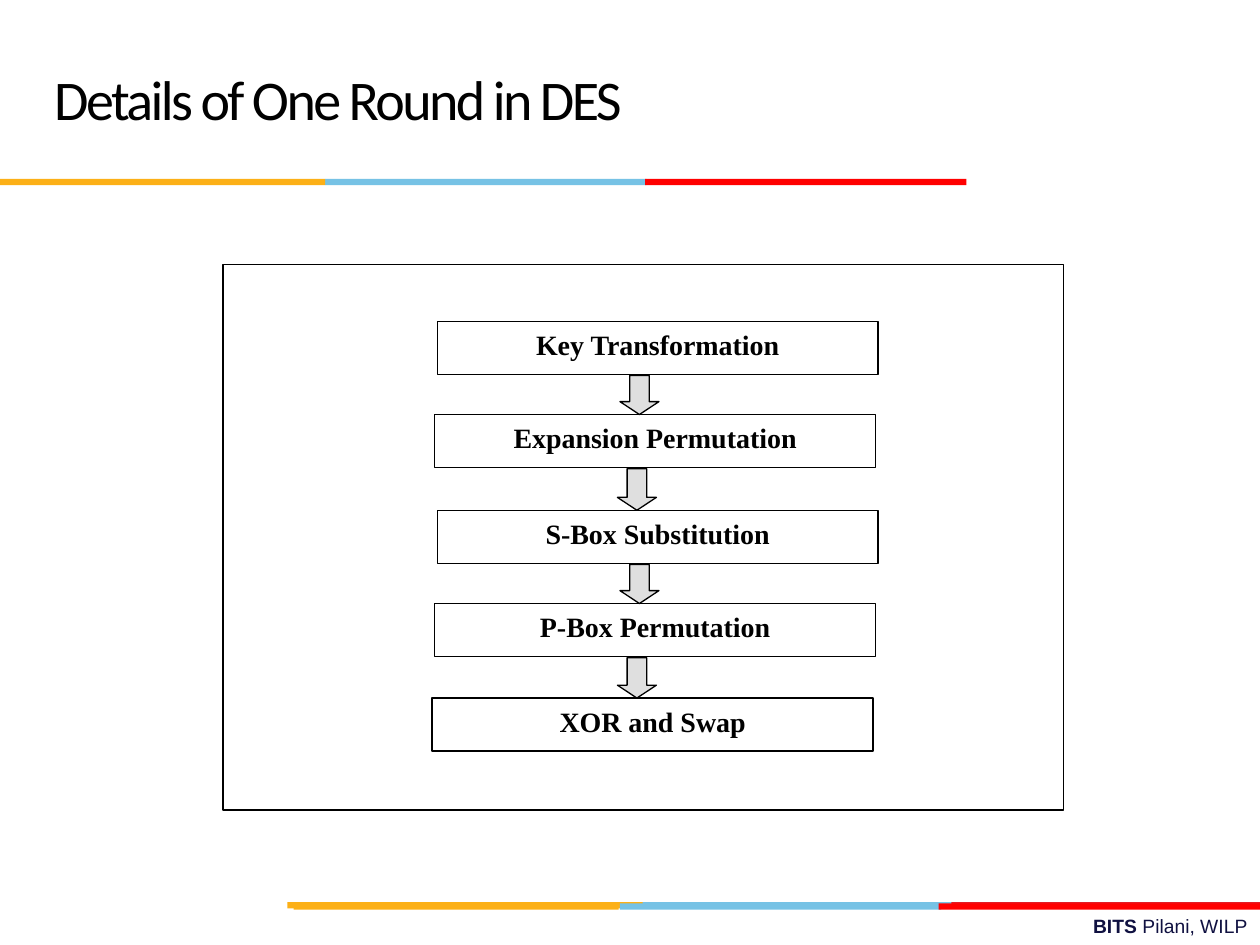
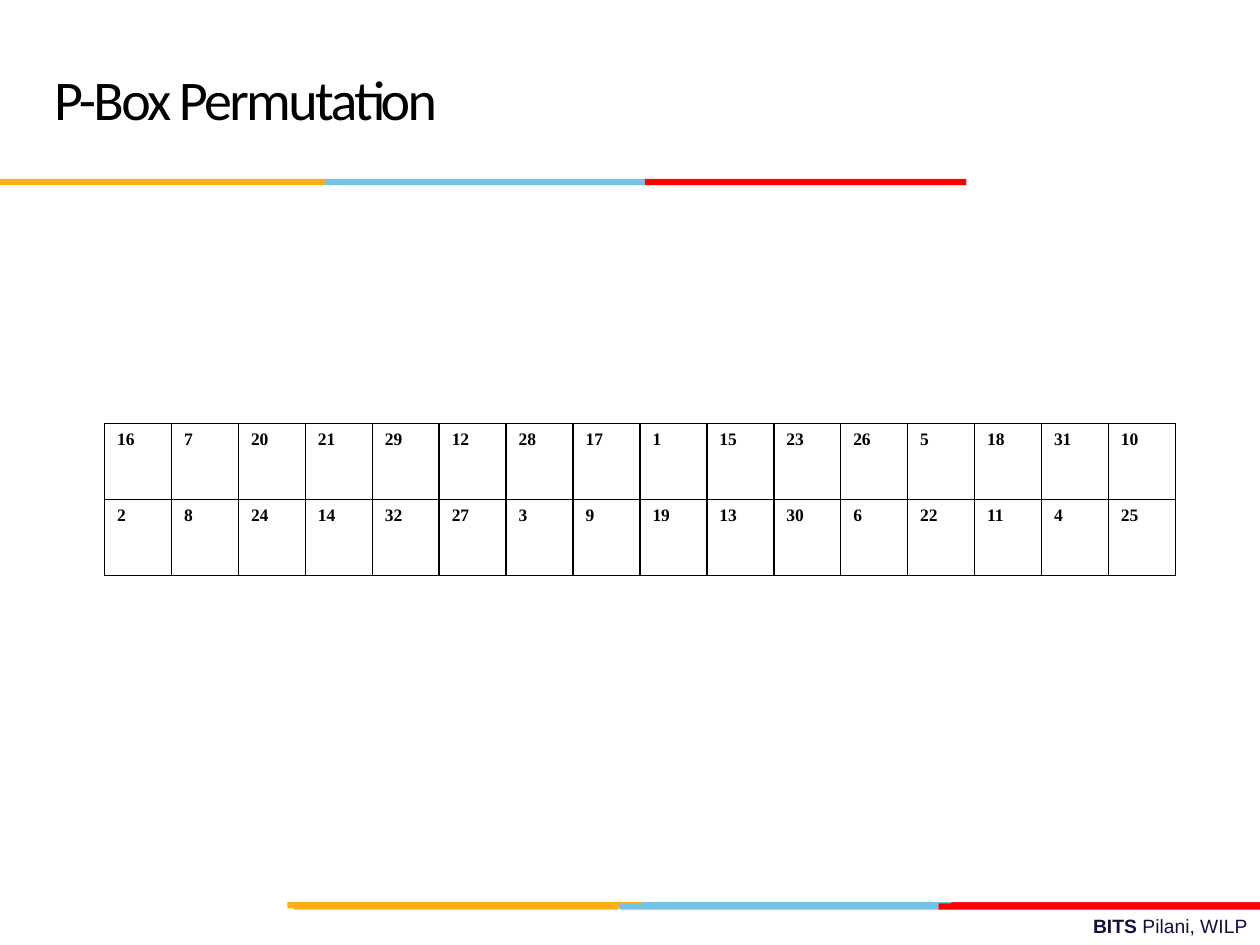
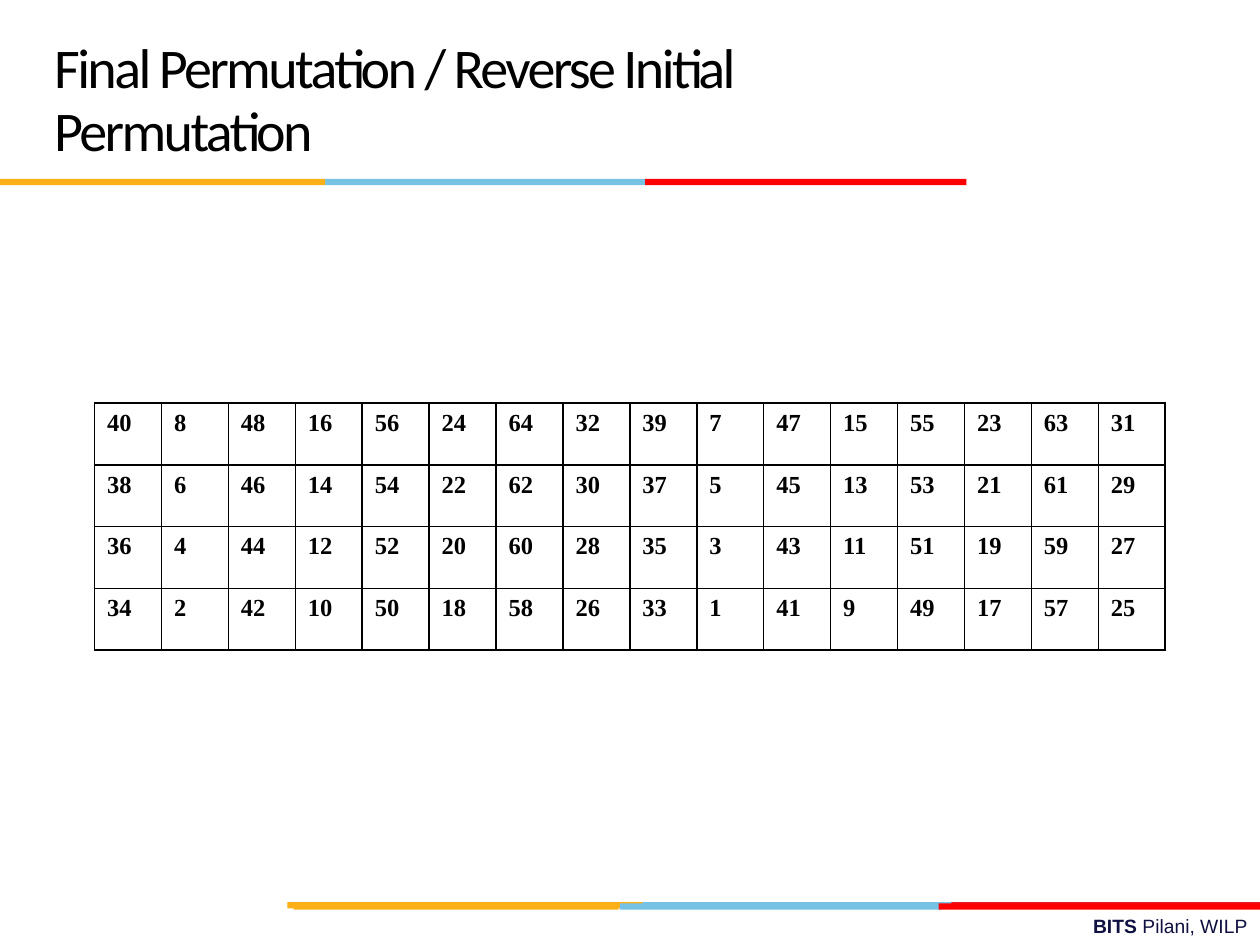
"""Build three slides on the DES cipher: one round, the P-box and the final permutation."""
import pptx
import pptx.dml.color
import pptx.enum.shapes
import pptx.enum.text
import pptx.oxml
import pptx.oxml.ns
import pptx.util

Inches, Pt = pptx.util.Inches, pptx.util.Pt
Align = pptx.enum.text.PP_ALIGN
Anchor = pptx.enum.text.MSO_ANCHOR
Fit = pptx.enum.text.MSO_AUTO_SIZE
Kind = pptx.enum.shapes.MSO_SHAPE

THEME = {
    "gold": "FCB017", "sky": "76C2E5", "red": "FF0000", "brick": "E31C24",
    "navy": "101141", "black": "000000", "white": "FFFFFF", "gray": "C0C0C0",
    "head": {"name": "Calibri", "size": Pt(32), "bold": False},
    "foot": {"name": "Arial", "size": Pt(11)},
    "step": {"name": "Times New Roman", "size": Pt(16), "bold": True},
    "small": {"name": "Times New Roman", "size": Pt(10), "bold": True},
    "large": {"name": "Times New Roman", "size": Pt(14), "bold": True},
}

BANDS = [
    (7.16, [(5.06, 2.55, "sky"), (7.55, 2.45, "brick"), (2.28, 2.82, "gold")]),
    (7.17, [(4.92, 2.55, "sky"), (2.33, 2.58, "gold"), (7.45, 2.55, "red")]),
    (1.42, [(2.58, 2.55, "sky"), (0, 2.58, "gold"), (5.12, 2.55, "red")]),
]
FOOTER = [("BITS ", True), ("Pilani, WILP", False)]

ROUND = "Details of One Round in DES"
STEPS = [
    ("Key Transformation", 3.47, 2.55),
    ("Expansion Permutation", 3.45, 3.29),
    ("S-Box Substitution", 3.47, 4.05),
    ("P-Box Permutation", 3.45, 4.79),
    ("XOR and Swap", 3.43, 5.54),
]

GRIDS = [
    {
        "title": "P-Box Permutation",
        "at": (0.83, 3.36), "row": 0.605, "font": "small",
        "rows": [
            (16, 7, 20, 21, 29, 12, 28, 17, 1, 15, 23, 26, 5, 18, 31, 10),
            (2, 8, 24, 14, 32, 27, 3, 9, 19, 13, 30, 6, 22, 11, 4, 25),
        ],
    },
    {
        "title": "Final Permutation / Reverse Initial Permutation",
        "at": (0.75, 3.2), "row": 0.49, "font": "large",
        "rows": [
            (40, 8, 48, 16, 56, 24, 64, 32, 39, 7, 47, 15, 55, 23, 63, 31),
            (38, 6, 46, 14, 54, 22, 62, 30, 37, 5, 45, 13, 53, 21, 61, 29),
            (36, 4, 44, 12, 52, 20, 60, 28, 35, 3, 43, 11, 51, 19, 59, 27),
            (34, 2, 42, 10, 50, 18, 58, 26, 33, 1, 41, 9, 49, 17, 57, 25),
        ],
    },
]


def color(name):
    return pptx.dml.color.RGBColor.from_string(THEME[name])


def style(font, look, ink="black"):
    for key, value in THEME[look].items():
        setattr(font, key, value)
    font.color.rgb = color(ink)


def block(slide, kind, box, fill, line=None):
    shape = slide.shapes.add_shape(kind, *map(Inches, box))
    shape.shadow.inherit = False
    shape.fill.solid()
    shape.fill.fore_color.rgb = color(fill)
    if line:
        shape.line.color.rgb = color(line)
        shape.line.width = Pt(0.75)
    else:
        shape.line.fill.background()
    return shape


def add_slide(deck, text):
    slide = deck.slides.add_slide(deck.slide_layouts[5])
    title = slide.shapes.title
    title.left, title.top, title.width, title.height = map(Inches, (0.33, 0.17, 6.92, 1.25))
    frame = title.text_frame
    frame.text = text
    frame.auto_size, frame.vertical_anchor = Fit.NONE, Anchor.MIDDLE
    para = frame.paragraphs[0]
    para.alignment, para.line_spacing = Align.LEFT, Pt(36)
    run = para.runs[0]
    style(run.font, "head")
    run.font._element.set("spc", "-150")

    for top, parts in BANDS:
        for left, width, fill in parts:
            block(slide, Kind.RECTANGLE, (left, top, width, 0.05), fill)

    foot = slide.shapes.add_textbox(*map(Inches, (3.58, 7.21, 6.42, 0.29))).text_frame
    foot.word_wrap, foot.auto_size = True, Fit.SHAPE_TO_FIT_TEXT
    foot.paragraphs[0].alignment = Align.RIGHT
    for words, bold in FOOTER:
        run = foot.paragraphs[0].add_run()
        run.text = words
        style(run.font, "foot", "navy")
        run.font.bold = bold
    return slide


def add_arrow(slide, left, top, height):
    arrow = block(slide, Kind.DOWN_ARROW, (left, top, 0.31, height), "gray", "black")
    arrow.adjustments[0], arrow.adjustments[1] = 0.5, 0.33
    tint = arrow._element.spPr.find(".//" + pptx.oxml.ns.qn("a:srgbClr"))
    tint.append(pptx.oxml.parse_xml(f'<a:alpha {pptx.oxml.ns.nsdecls("a")} val="50000"/>'))


def add_flow(slide):
    block(slide, Kind.RECTANGLE, (1.77, 2.1, 6.67, 4.33), "white", "black")
    for text, left, top in STEPS:
        box = block(slide, Kind.RECTANGLE, (left, top, 3.5, 0.42), "white", "black")
        frame = box.text_frame
        frame.text, frame.vertical_anchor = text, Anchor.TOP
        para = frame.paragraphs[0]
        para.alignment = Align.CENTER
        style(para.runs[0].font, "step")
    for (_, left, top), (_, _, below) in zip(STEPS, STEPS[1:]):
        add_arrow(slide, left + 1.45, top + 0.43, below - top - 0.43)


def add_border(cell):
    props = cell._tc.get_or_add_tcPr()
    for side in "LRTB":
        props.append(pptx.oxml.parse_xml(
            f'<a:ln{side} {pptx.oxml.ns.nsdecls("a")} w="12700"><a:solidFill>'
            f'<a:srgbClr val="{THEME["black"]}"/></a:solidFill></a:ln{side}>'))


def add_grid(slide, grid):
    rows = grid["rows"]
    count, width = len(rows[0]), 8.5
    left, top = grid["at"]
    size = (left, top, width, grid["row"] * len(rows))
    table = slide.shapes.add_table(len(rows), count, *map(Inches, size)).table
    table.first_row = table.horz_banding = False
    for col in table.columns:
        col.width = Inches(width / count)
    for r, row in enumerate(rows):
        table.rows[r].height = Inches(grid["row"])
        for c, value in enumerate(row):
            cell = table.cell(r, c)
            add_border(cell)
            cell.fill.background()
            cell.text = str(value)
            para = cell.text_frame.paragraphs[0]
            para.alignment = Align.JUSTIFY
            props = para._p.get_or_add_pPr()
            props.set("marL", str(Inches(0.38)))
            props.set("indent", str(-Inches(0.38)))
            style(para.runs[0].font, grid["font"])


def main():
    deck = pptx.Presentation()
    deck.slide_width, deck.slide_height = Inches(10), Inches(7.5)
    add_flow(add_slide(deck, ROUND))
    for grid in GRIDS:
        add_grid(add_slide(deck, grid["title"]), grid)
    deck.save("out.pptx")


if __name__ == "__main__":
    main()
